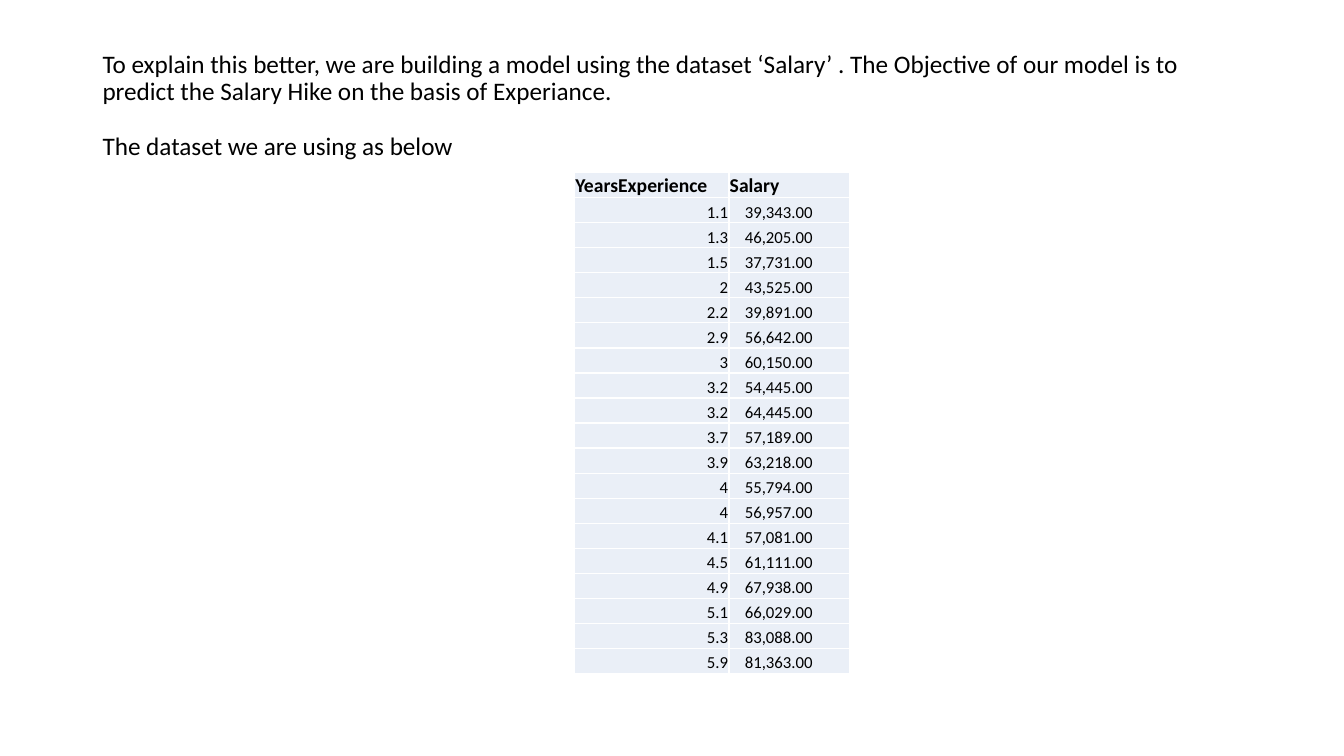
from lxml import etree
from pptx import Presentation
from pptx.dml.color import RGBColor
from pptx.enum.text import MSO_ANCHOR, MSO_AUTO_SIZE, PP_ALIGN
from pptx.oxml.ns import qn
from pptx.util import Cm, Pt

BLACK = RGBColor(0x00, 0x00, 0x00)
WHITE = RGBColor(0xFF, 0xFF, 0xFF)
PALE_BLUE = RGBColor(0xEA, 0xEF, 0xF7)
FONT_NAME = "Calibri"
LEFT, RIGHT = PP_ALIGN.LEFT, PP_ALIGN.RIGHT
MIDDLE, BOTTOM = MSO_ANCHOR.MIDDLE, MSO_ANCHOR.BOTTOM
NO_AUTOFIT = MSO_AUTO_SIZE.NONE
TITLE_ONLY_LAYOUT = 5

TITLE_PARAGRAPHS = [
    "To explain this better, we are building a model using the dataset ‘Salary’ . "
    "The Objective of our model is to predict the Salary Hike on the basis of Experiance.",
    "The dataset we are using as below",
]
HEADERS = ("YearsExperience", "Salary")
SALARIES = [
    (1.1, 39343), (1.3, 46205), (1.5, 37731), (2, 43525), (2.2, 39891),
    (2.9, 56642), (3, 60150), (3.2, 54445), (3.2, 64445), (3.7, 57189),
    (3.9, 63218), (4, 55794), (4, 56957), (4.1, 57081), (4.5, 61111),
    (4.9, 67938), (5.1, 66029), (5.3, 83088), (5.9, 81363),
]
COLUMN_WIDTHS = (Cm(3.89), Cm(3.05))
CELL_MARGIN = Cm(0.02)
SALARY_INDENT = Cm(0.4)


def format_paragraph(paragraph, size, alignment=LEFT, bold=False):
    paragraph.alignment = alignment
    font = paragraph.font
    font.name = FONT_NAME
    font.size = Pt(size)
    font.bold = bold
    font.color.rgb = BLACK


def set_title(slide):
    title = slide.shapes.title
    title.left, title.top = Cm(2.33), Cm(1.01)
    title.width, title.height = Cm(29.21), Cm(3.33)
    frame = title.text_frame
    frame.text = "\n".join(TITLE_PARAGRAPHS)
    frame.word_wrap = True
    frame.auto_size = NO_AUTOFIT
    frame.vertical_anchor = MIDDLE
    for paragraph in frame.paragraphs:
        format_paragraph(paragraph, 18)
        paragraph.line_spacing = 0.9
        paragraph.space_before = Pt(0)
    frame.paragraphs[-1].space_before = Pt(20)


def add_cell_borders(cell):
    properties = cell._tc.get_or_add_tcPr()
    for side in ("a:lnL", "a:lnR", "a:lnT", "a:lnB"):
        line = etree.SubElement(properties, qn(side), w=str(Pt(1)))
        fill = etree.SubElement(line, qn("a:solidFill"))
        etree.SubElement(fill, qn("a:srgbClr"), val=str(WHITE))


def fill_cell(cell, text, size, alignment=LEFT, bold=False, indent=CELL_MARGIN):
    cell.text = text
    cell.vertical_anchor = BOTTOM
    cell.margin_left = indent
    cell.margin_right = cell.margin_top = CELL_MARGIN
    cell.margin_bottom = 0
    format_paragraph(cell.text_frame.paragraphs[0], size, alignment, bold)
    add_cell_borders(cell)
    cell.fill.solid()
    cell.fill.fore_color.rgb = PALE_BLUE


def add_salary_table(slide):
    table = slide.shapes.add_table(
        len(SALARIES) + 1, len(HEADERS),
        Cm(14.48), Cm(4.35), sum(COLUMN_WIDTHS), Cm(12.62),
    ).table
    table.horz_banding = False
    for column, width in zip(table.columns, COLUMN_WIDTHS):
        column.width = width
    for column_index, header in enumerate(HEADERS):
        fill_cell(table.cell(0, column_index), header, 14, bold=True)
    for row_index, (years, salary) in enumerate(SALARIES, start=1):
        fill_cell(table.cell(row_index, 0), str(years), 12, alignment=RIGHT)
        fill_cell(table.cell(row_index, 1), f"{salary:,.2f}", 12, indent=SALARY_INDENT)


def main():
    presentation = Presentation()
    presentation.slide_width = Cm(33.87)
    presentation.slide_height = Cm(19.05)
    slide = presentation.slides.add_slide(presentation.slide_layouts[TITLE_ONLY_LAYOUT])
    set_title(slide)
    add_salary_table(slide)
    presentation.save("out.pptx")


if __name__ == "__main__":
    main()
